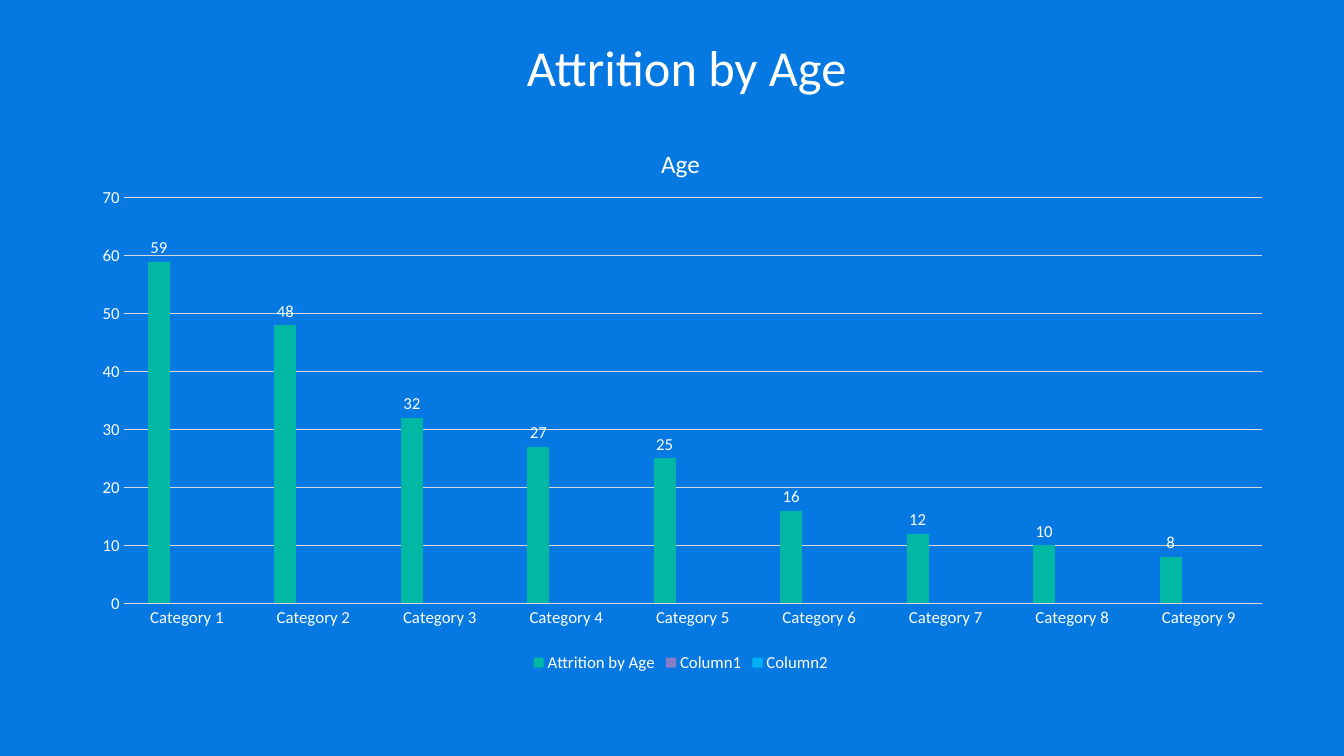
from lxml import etree
from pptx import Presentation
from pptx import util as u
from pptx.chart.data import CategoryChartData
from pptx.dml.color import RGBColor
from pptx.enum import chart as ch, text
from pptx.oxml.ns import qn

BLUE = RGBColor(0x05, 0x78, 0xE1)
WHITE = RGBColor(0xFF, 0xFF, 0xFF)
GREY = RGBColor(0xD9, 0xD9, 0xD9)
SERIES_COLOURS = {
    "Attrition by Age": RGBColor(0x00, 0xB8, 0xA3),
    "Column1": RGBColor(0x87, 0x7C, 0xC8),
    "Column2": RGBColor(0x00, 0xB0, 0xF4),
}
ATTRITION = [59, 48, 32, 27, 25, 16, 12, 10, 8]
FONT = "Calibri"
WIDTH, HEIGHT = 13.33, 7.5

TITLE_BOX = (0.075, 0.04, 0.872, 0.095)
CHART_BOX = (0.056, 0.15, 0.901, 0.745)


def slide_box(shares):
    """Turn shares of the slide's size into left, top, width and height."""
    return [u.Inches(share * side)
            for share, side in zip(shares, (WIDTH, HEIGHT) * 2)]


def set_all(target, formats):
    for name, value in formats.items():
        setattr(target, name, value)


def set_font(font, size):
    set_all(font, {"name": FONT, "size": u.Pt(size), "bold": False})
    font.color.rgb = WHITE


def set_line(line):
    line.width = u.Pt(0.75)
    line.color.rgb = GREY


def place_in_chart(part, position, **shares):
    """Give a chart part a manual layout, in shares of the chart's size."""
    for automatic in part.findall(qn("c:layout")):
        part.remove(automatic)
    layout = etree.Element(qn("c:layout"))
    manual = etree.SubElement(layout, qn("c:manualLayout"))
    if "w" in shares:
        etree.SubElement(manual, qn("c:layoutTarget")).set("val", "inner")
    for side in "xy":
        etree.SubElement(manual, qn(f"c:{side}Mode")).set("val", "edge")
    for side, share in shares.items():
        etree.SubElement(manual, qn(f"c:{side}")).set("val", str(share))
    part.insert(position, layout)


def add_title(slide, box):
    title = slide.shapes.title
    set_all(title, dict(zip(("left", "top", "width", "height"), slide_box(box))))
    frame = title.text_frame
    frame.text = "Attrition by Age"
    set_all(frame, {"word_wrap": True,
                    "vertical_anchor": text.MSO_ANCHOR.MIDDLE})
    frame.paragraphs[0].alignment = text.PP_ALIGN.CENTER
    set_font(frame.paragraphs[0].runs[0].font, 36)


def format_axes(chart):
    for axis in (chart.category_axis, chart.value_axis):
        set_all(axis, {"major_tick_mark": ch.XL_TICK_MARK.NONE,
                       "minor_tick_mark": ch.XL_TICK_MARK.NONE})
        set_font(axis.tick_labels.font, 12)
    set_line(chart.category_axis.format.line)
    set_all(chart.value_axis, {"minimum_scale": 0, "maximum_scale": 70,
                               "major_unit": 10})
    chart.value_axis.format.line.fill.background()
    set_line(chart.value_axis.major_gridlines.format.line)


def format_series(plot):
    set_all(plot, {"gap_width": 219, "overlap": -27,
                   "vary_by_categories": False})
    for series in plot.series:
        series.format.fill.solid()
        series.format.fill.fore_color.rgb = SERIES_COLOURS[series.name]
        labels = series.data_labels
        set_all(labels, {"show_value": True,
                         "position": ch.XL_LABEL_POSITION.OUTSIDE_END})
        set_font(labels.font, 12)


def add_age_chart(slide, box):
    ages = CategoryChartData()
    ages.categories = [f"Category {n}" for n in range(1, len(ATTRITION) + 1)]
    for name in SERIES_COLOURS:
        filled = name == "Attrition by Age"
        ages.add_series(name, ATTRITION if filled else [None] * len(ATTRITION))
    chart = slide.shapes.add_chart(
        ch.XL_CHART_TYPE.COLUMN_CLUSTERED, *slide_box(box), ages).chart
    set_font(chart.font, 12)

    heading = chart.chart_title
    heading.text_frame.text = "Age"
    set_font(heading.text_frame.paragraphs[0].runs[0].font, 18)

    chart.has_legend = True
    set_all(chart.legend, {"position": ch.XL_LEGEND_POSITION.BOTTOM,
                           "include_in_layout": False})
    set_font(chart.legend.font, 12)

    format_axes(chart)
    format_series(chart.plots[0])
    plot_area = chart.plots[0]._element.getparent()
    place_in_chart(plot_area, 0, x=0.04, y=0.15, w=0.94, h=0.72)
    place_in_chart(heading._element, 1, x=0.48, y=0.05)


def build_age_slide(deck):
    slide = deck.slides.add_slide(deck.slide_layouts.get_by_name("Title Only"))
    slide.background.fill.solid()
    slide.background.fill.fore_color.rgb = BLUE
    add_title(slide, TITLE_BOX)
    add_age_chart(slide, CHART_BOX)


def main():
    deck = Presentation()
    set_all(deck, {"slide_width": u.Inches(WIDTH),
                   "slide_height": u.Inches(HEIGHT)})
    build_age_slide(deck)
    deck.save("out.pptx")


if __name__ == "__main__":
    main()
